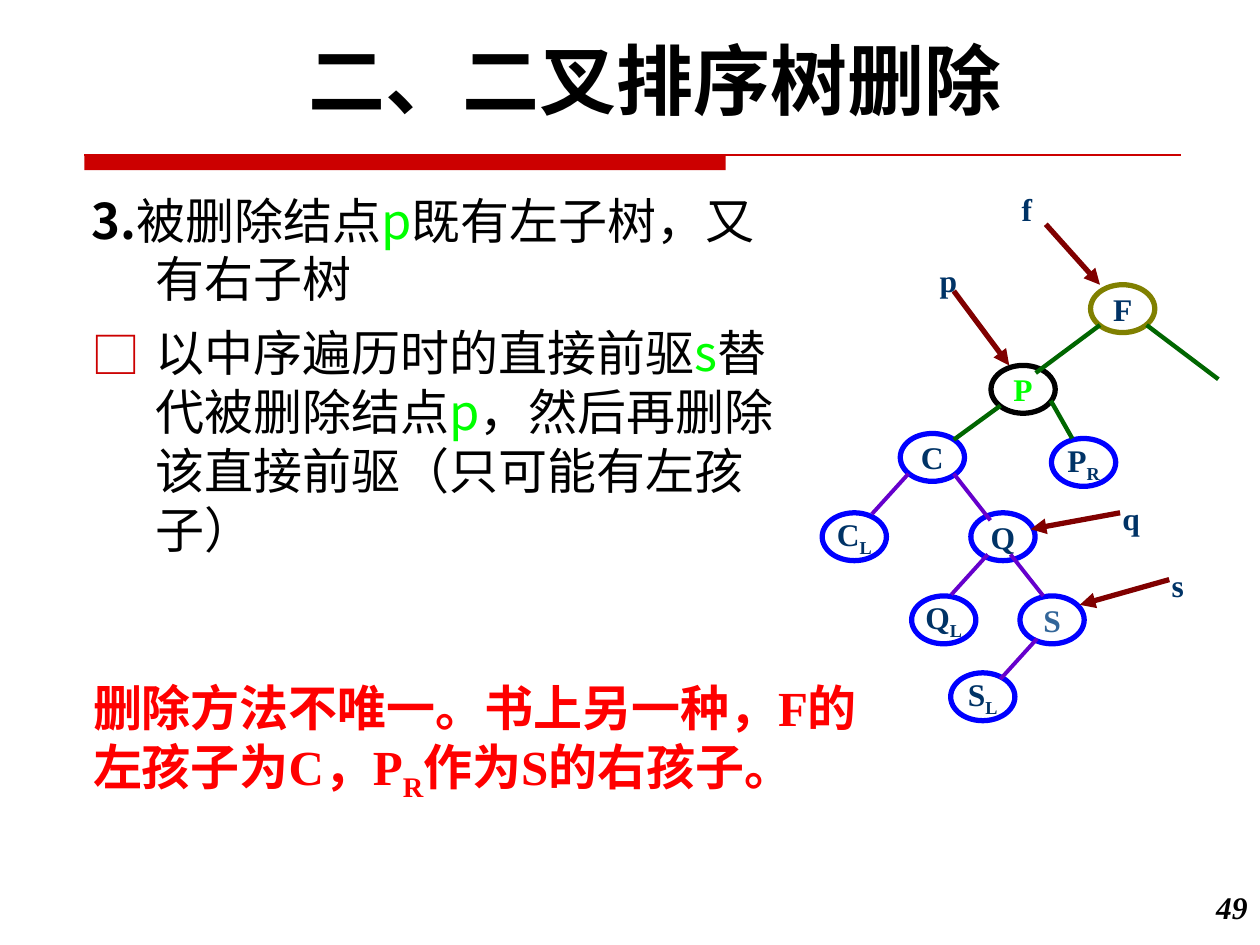
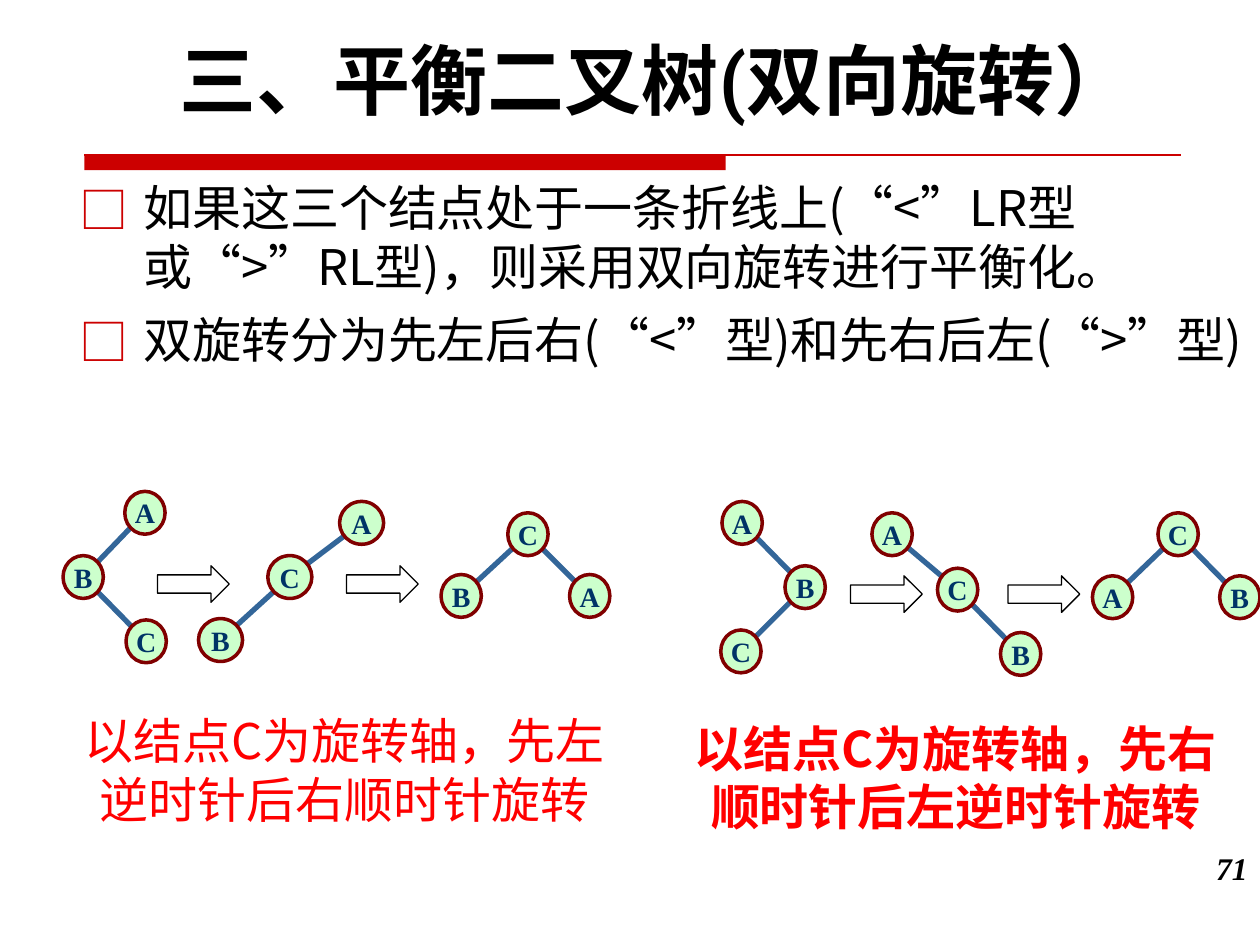
import itertools
from dataclasses import dataclass

import lxml.etree
import pptx
import pptx.dml.color
import pptx.enum.shapes
import pptx.enum.text
import pptx.oxml.ns
import pptx.util

Inches = pptx.util.Inches
Pt = pptx.util.Pt
Shapes = pptx.enum.shapes.MSO_SHAPE
Align = pptx.enum.text.PP_ALIGN
Anchor = pptx.enum.text.MSO_ANCHOR


@dataclass(frozen=True)
class Theme:
    sans: str = "Noto Sans CJK SC"
    serif: str = "Times New Roman"
    title_font: str = "Roboto"
    black: str = "000000"
    band: str = "CC0000"
    warning: str = "FF0000"
    highlight: str = "00FF00"
    label: str = "003366"
    steel: str = "336699"
    pointer: str = "800000"
    upper_edge: str = "006600"
    lower_edge: str = "6600CC"
    node_line: str = "0000FF"
    root_line: str = "808000"
    node_fill: str = "CCFFCC"
    title_size: int = 44
    body_size: int = 28
    label_size: int = 18
    node_size: int = 16


THEME = Theme()
GREEN = {"color": THEME.highlight}
SUBSCRIPT = {"baseline": -25000}


def rgb(value):
    return pptx.dml.color.RGBColor.from_string(value)


def add_child(parent, tag, **attributes):
    return lxml.etree.SubElement(parent, pptx.oxml.ns.qn(tag), attributes)


def add_run(paragraph, text, size, font=THEME.sans, color=THEME.black,
            bold=False, italic=False, baseline=0):
    run = paragraph.add_run()
    run.text = text
    run.font.size = Pt(size)
    run.font.name = font
    run.font.bold = bold
    run.font.italic = italic
    run.font.color.rgb = rgb(color)
    properties = run._r.get_or_add_rPr()
    add_child(properties, "a:ea", typeface=THEME.sans)
    if baseline:
        properties.set("baseline", str(baseline))


def add_runs(paragraph, runs, **style):
    """Each run is a string, or a string with its own style changes."""
    for run in runs:
        text, changes = (run, {}) if isinstance(run, str) else run
        add_run(paragraph, text, **{**style, **changes})


def add_text(slide, box, runs, align=Align.LEFT, wrap=True, **style):
    frame = slide.shapes.add_textbox(*map(Inches, box)).text_frame
    frame.word_wrap = wrap
    paragraph = frame.paragraphs[0]
    paragraph.alignment = align
    add_runs(paragraph, runs, **style)


def add_body(slide, box, items):
    """Each item is a pair: whether it has a bullet, and its runs."""
    frame = slide.shapes.add_textbox(*map(Inches, box)).text_frame
    frame.word_wrap = True
    for index, (bulleted, runs) in enumerate(items):
        paragraph = frame.add_paragraph() if index else frame.paragraphs[0]
        properties = paragraph._p.get_or_add_pPr()
        properties.set("marL", str(Inches(0.51)))
        properties.set("indent", str(Inches(-0.51)))
        if bulleted:
            add_child(add_child(properties, "a:buClr"), "a:srgbClr", val=THEME.band)
            add_child(properties, "a:buFont", typeface=THEME.sans)
            add_child(properties, "a:buChar", char="□")
        if index:
            paragraph.space_before = Pt(0.3 * THEME.body_size)
        add_runs(paragraph, runs, size=THEME.body_size)


def add_preset(slide, preset, box, fill=None, line=None, width=0.75):
    shape = slide.shapes.add_shape(preset, *map(Inches, box))
    shape.shadow.inherit = False
    if fill:
        shape.fill.solid()
        shape.fill.fore_color.rgb = rgb(fill)
    else:
        shape.fill.background()
    if line:
        shape.line.color.rgb = rgb(line)
        shape.line.width = Pt(width)
    else:
        shape.line.fill.background()
    return shape


def add_line(slide, start, end, color, width, arrow=False):
    connector = slide.shapes.add_connector(
        pptx.enum.shapes.MSO_CONNECTOR.STRAIGHT, *map(Inches, (*start, *end)))
    connector.line.color.rgb = rgb(color)
    connector.line.width = Pt(width)
    if arrow:
        add_child(connector.line._get_or_add_ln(), "a:tailEnd", type="triangle")
    add_child(connector._element.spPr, "a:effectLst")


def add_node(slide, center, size, runs, line, width, text_size,
             fill=None, color=THEME.label):
    (x, y), (across, down) = center, size
    shape = add_preset(slide, Shapes.OVAL,
                       (x - across / 2, y - down / 2, across, down), fill, line, width)
    frame = shape.text_frame
    frame.word_wrap = False
    frame.vertical_anchor = Anchor.MIDDLE
    paragraph = frame.paragraphs[0]
    paragraph.alignment = Align.CENTER
    add_runs(paragraph, runs, size=text_size, font=THEME.serif, color=color, bold=True)


def add_base_slide(presentation, title, number, number_top):
    slide = presentation.slides.add_slide(presentation.slide_layouts[6])
    add_preset(slide, Shapes.RECTANGLE, (0.67, 1.23, 5.09, 0.12), THEME.band)
    add_line(slide, (0.67, 1.23), (9.37, 1.23), THEME.band, 0.75)
    add_text(slide, (0.58, 0.21, 9.25, 0.84), [title], Align.CENTER,
             size=THEME.title_size, font=THEME.title_font, bold=True)
    add_text(slide, (9.33, number_top, 0.67, 0.5), [number], Align.RIGHT,
             size=THEME.label_size, font=THEME.serif, bold=True, italic=True)
    return slide


def add_search_tree(slide):
    nodes = [
        ("F", "", (8.91, 2.45), THEME.root_line, THEME.label),
        ("P", "", (8.12, 3.09), THEME.black, THEME.highlight),
        ("C", "", (7.4, 3.63), THEME.node_line, THEME.label),
        ("P", "R", (8.6, 3.67), THEME.node_line, THEME.label),
        ("C", "L", (6.78, 4.26), THEME.node_line, THEME.label),
        ("Q", "", (7.96, 4.26), THEME.node_line, THEME.label),
        ("Q", "L", (7.49, 4.92), THEME.node_line, THEME.label),
        ("S", "", (8.35, 4.92), THEME.node_line, THEME.steel),
        ("S", "L", (7.8, 5.53), THEME.node_line, THEME.label),
    ]
    upper_edges = [
        ((8.73, 2.58), (8.22, 2.96)), ((9.1, 2.58), (9.67, 3.01)),
        ((7.94, 3.22), (7.57, 3.49)), ((8.34, 3.18), (8.51, 3.48)),
    ]
    lower_edges = [
        ((7.21, 3.76), (6.92, 4.08)), ((7.57, 3.76), (7.86, 4.13)),
        ((7.84, 4.4), (7.55, 4.72)), ((8.02, 4.4), (8.28, 4.73)),
        ((8.23, 5.07), (7.94, 5.39)),
    ]
    pointers = [
        ("f", (8.01, 1.46), (8.3, 1.78), (8.73, 2.26)),
        ("p", (7.36, 2.02), (7.57, 2.31), (8.01, 2.9)),
        ("q", (8.81, 3.91), (8.89, 4.07), (8.18, 4.2)),
        ("s", (9.2, 4.44), (9.28, 4.6), (8.57, 4.8)),
    ]
    for name, subscript, center, line, color in nodes:
        runs = [name, (subscript, SUBSCRIPT)] if subscript else [name]
        add_node(slide, center, (0.51, 0.38), runs, line, 3, THEME.label_size, color=color)
    for start, end in upper_edges:
        add_line(slide, start, end, THEME.upper_edge, 2.5)
    for start, end in lower_edges:
        add_line(slide, start, end, THEME.lower_edge, 2.25)
    for name, corner, start, end in pointers:
        add_text(slide, (*corner, 0.34, 0.4), [name], wrap=False, size=THEME.label_size,
                 font=THEME.serif, color=THEME.label, bold=True)
        add_line(slide, start, end, THEME.pointer, 3, arrow=True)


def add_rotation_tree(slide, chain, width=0.32):
    """Draw named nodes, each joined to the next one in the chain."""
    for (_, start), (_, end) in itertools.pairwise(chain):
        add_line(slide, start, end, THEME.steel, 3)
    for name, center in chain:
        add_node(slide, center, (width, 0.34), [name], THEME.pointer, 2,
                 THEME.node_size, fill=THEME.node_fill)


def quoted(symbol):
    serif = {"font": THEME.serif}
    return [("“", serif), symbol, ("”", serif)]


def add_deletion_slide(presentation):
    slide = add_base_slide(presentation, "二、二叉排序树删除", "49", 7)
    add_body(slide, (0.63, 1.46, 5.67, 4.42), [
        (False, [("3.", {"bold": True}), "被删除结点", ("p", GREEN),
                 "既有左子树，又有右子树"]),
        (True, ["以中序遍历时的直接前驱", ("s", GREEN), "替代被删除结点", ("p", GREEN),
                "，然后再删除该直接前驱（只可能有左孩子）"]),
    ])
    add_search_tree(slide)
    add_text(slide, (0.64, 5.33, 6.37, 1.04),
             ["删除方法不唯一。书上另一种，F的左孩子为C，P", ("R", SUBSCRIPT),
              "作为S的右孩子。"],
             size=THEME.body_size, font=THEME.serif, color=THEME.warning, bold=True)


def add_rotation_slide(presentation):
    slide = add_base_slide(presentation, "三、平衡二叉树(双向旋转）", "71", 6.69)
    add_body(slide, (0.53, 1.36, 9.58, 2.27), [
        (True, ["如果这三个结点处于一条折线上(", *quoted("<"), "LR型或", *quoted(">"),
                "RL型)，则采用双向旋转进行平衡化。"]),
        (True, ["双旋转分为先左后右(", *quoted("<"), "型)和先右后左(", *quoted(">"),
                "型)"]),
    ])
    add_rotation_tree(slide, [("A", (1.15, 4.07)), ("B", (0.66, 4.58)), ("C", (1.16, 5.09))])
    add_rotation_tree(slide, [("A", (2.87, 4.15)), ("C", (2.3, 4.58)), ("B", (1.75, 5.08))],
                      width=0.35)
    add_rotation_tree(slide, [("B", (3.66, 4.73)), ("C", (4.19, 4.24)), ("A", (4.68, 4.73))])
    add_rotation_tree(slide, [("A", (5.89, 4.15)), ("B", (6.39, 4.66)), ("C", (5.88, 5.17))])
    add_rotation_tree(slide, [("A", (7.08, 4.24)), ("C", (7.6, 4.68)), ("B", (8.1, 5.19))])
    add_rotation_tree(slide, [("A", (8.83, 4.74)), ("C", (9.35, 4.24)), ("B", (9.84, 4.74))])
    for left, top in ((1.25, 4.49), (2.75, 4.49), (6.75, 4.57), (8, 4.57)):
        add_preset(slide, Shapes.RIGHT_ARROW, (left, top, 0.57, 0.29), line=THEME.black)
    captions = [
        ((0.55, 5.59), "以结点C为旋转轴，先左逆时针后右顺时针旋转", False),
        ((5.4, 5.65), "以结点C为旋转轴，先右顺时针后左逆时针旋转", True),
    ]
    for corner, caption, bold in captions:
        add_text(slide, (*corner, 4.37, 1.04), [caption], Align.CENTER,
                 size=THEME.body_size, color=THEME.warning, bold=bold)


def main():
    presentation = pptx.Presentation()
    presentation.slide_width = Inches(10)
    presentation.slide_height = Inches(7.5)
    add_deletion_slide(presentation)
    add_rotation_slide(presentation)
    presentation.save("out.pptx")


if __name__ == "__main__":
    main()
